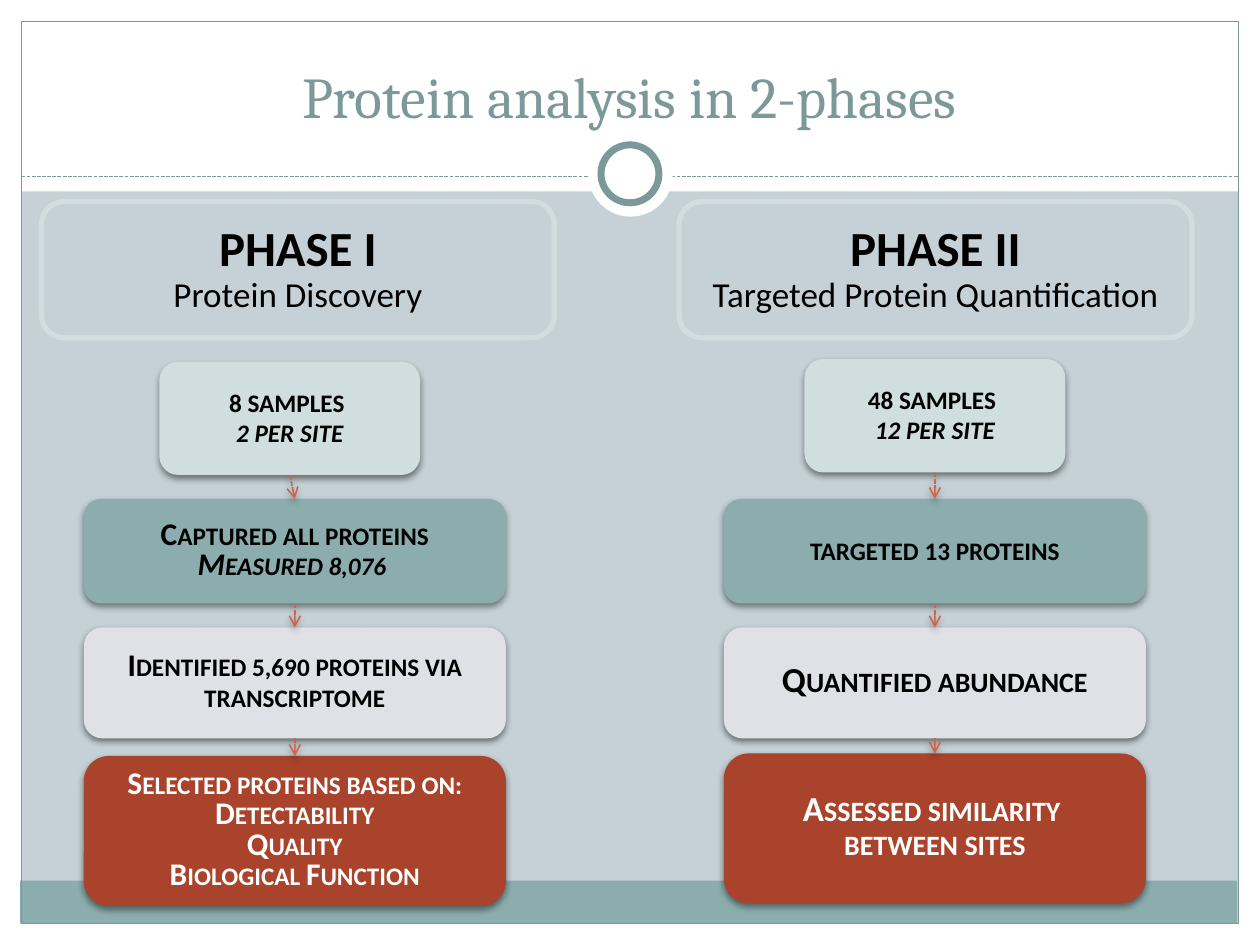
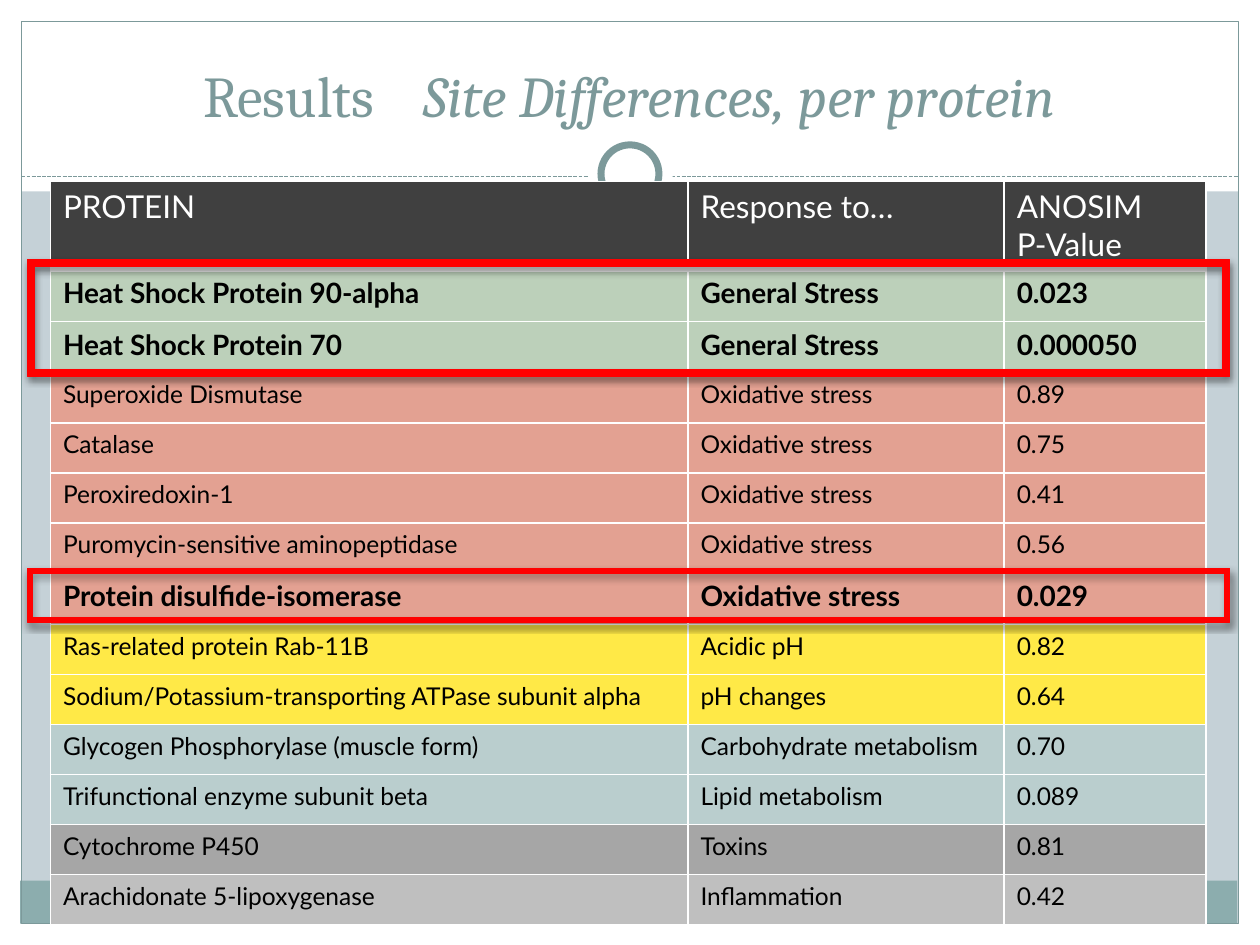
import dataclasses
import itertools

import lxml.etree
import pptx
import pptx.dml.color
import pptx.enum.dml
import pptx.enum.shapes
import pptx.enum.text
import pptx.oxml.ns
import pptx.util

Inches = pptx.util.Inches
Pt = pptx.util.Pt
Kind = pptx.enum.shapes.MSO_SHAPE
Anchor = pptx.enum.text.MSO_ANCHOR
Align = pptx.enum.text.PP_ALIGN
qn = pptx.oxml.ns.qn


@dataclasses.dataclass(frozen=True)
class Theme:
    title_font: str = "Cambria"
    flow_font: str = "Calibri"
    table_font: str = "Lato"
    title_size: int = 33
    phase_size: int = 28
    lead_size: int = 20
    step_size: int = 18
    strong_size: int = 16
    row_size: int = 14
    background: str = "C5D1D7"
    white: str = "FFFFFF"
    black: str = "000000"
    accent: str = "7C999A"
    teal: str = "8CADAE"
    mist: str = "D1DEDF"
    lilac: str = "DFE1E7"
    brick: str = "A9432B"
    arrow: str = "D16349"
    header: str = "404040"
    highlight: str = "FF0000"


THEME = Theme()

MARGIN_BANDS = [(0, 7.33, 10, 0.17), (0, 0, 10, 1.52), (0, 0, 0.17, 7.5), (9.83, 0, 0.17, 7.5)]
FOOTER_BAND = (0.16, 6.99, 9.66, 0.34)
PAGE_FRAME = (0.17, 0.17, 9.66, 7.16)
RULE_Y = 1.4
RING_HALO = (4.67, 1.05, 0.67, 0.67)
RING = (4.77, 1.15, 0.46, 0.46)

STAGES = [
    (2.07, 0.9, THEME.mist, THEME.black),
    (3.35, 0.83, THEME.teal, THEME.black),
    (3.35, 0.88, THEME.lilac, THEME.black),
    (3.35, 1.19, THEME.brick, THEME.white),
]
PHASE_BOX = (1.6, 4.07, 1.08)

PHASES = [
    {
        "name": "PHASE I",
        "goal": "Protein Discovery",
        "left": 0.33,
        "centers": [2.3, 2.34, 2.34, 2.34],
        "tops": [2.87, 3.96, 4.98, 6],
        "steps": [
            (THEME.step_size, [("8 samples ", False), ("2 per site", True)]),
            (THEME.step_size, [("Captured all proteins", False), ("Measured 8,076 ", True)]),
            (THEME.step_size, [("Identified 5,690 proteins via transcriptome", False)]),
            (THEME.step_size, [
                ("Selected proteins based on:", False),
                ("Detectability", False),
                ("Quality", False),
                ("Biological Function", False),
            ]),
        ],
    },
    {
        "name": "PHASE II",
        "goal": "Targeted Protein Quantification",
        "left": 5.39,
        "centers": [7.42] * 4,
        "tops": [2.85, 3.96, 4.98, 5.98],
        "steps": [
            (THEME.step_size, [("48 samples ", False), ("12 per site", True)]),
            (THEME.step_size, [("targeted 13 proteins", False)]),
            (THEME.lead_size, [("Quantified abundance", False)]),
            (THEME.lead_size, [("Assessed similarity ", False), ("between sites", False)]),
        ],
    },
]

TABLE_BOX = (0.4, 1.44, 9.17, 5.89)
COLUMN_WIDTHS = [5.06, 2.51, 1.6]
HEADER_HEIGHT = 0.69
STRONG_HEIGHT = 0.41
HEADINGS = [["PROTEIN"], ["Response to…"], ["ANOSIM", "P-Value"]]
GROUPS = [
    ("BCD0BA", [
        ("Heat Shock Protein 90-alpha", "General Stress", "0.023"),
        ("Heat Shock Protein 70", "General Stress", "0.000050"),
    ]),
    ("E3A192", [
        ("Superoxide Dismutase", "Oxidative stress", "0.89"),
        ("Catalase", "Oxidative stress", "0.75"),
        ("Peroxiredoxin-1", "Oxidative stress", "0.41"),
        ("Puromycin-sensitive aminopeptidase", "Oxidative stress", "0.56"),
        ("Protein disulfide-isomerase", "Oxidative stress", "0.029"),
    ]),
    ("FFE947", [
        ("Ras-related protein Rab-11B", "Acidic pH", "0.82"),
        ("Sodium/Potassium-transporting ATPase subunit alpha", "pH changes", "0.64"),
    ]),
    ("BACECE", [
        ("Glycogen Phosphorylase (muscle form)", "Carbohydrate metabolism", "0.70"),
        ("Trifunctional enzyme subunit beta", "Lipid metabolism", "0.089"),
    ]),
    ("A6A6A6", [("Cytochrome P450", "Toxins", "0.81")]),
    ("BFBFBF", [("Arachidonate 5-lipoxygenase", "Inflammation", "0.42")]),
]
SIGNIFICANCE = 0.05
HIGHLIGHTS = [((0.22, 2.06, 9.54, 0.93), 0.061), ((0.22, 4.51, 9.54, 0.43), 0.089)]


def rgb(value):
    return pptx.dml.color.RGBColor.from_string(value)


def add_shadow(properties, opacity):
    effects = properties.find(qn("a:effectLst"))
    if effects is None:
        effects = lxml.etree.SubElement(properties, qn("a:effectLst"))
    shadow = lxml.etree.SubElement(
        effects, qn("a:outerShdw"), blurRad=str(Pt(4)), dist=str(Pt(2)), dir="5400000", rotWithShape="0")
    color = lxml.etree.SubElement(shadow, qn("a:srgbClr"), val=THEME.black)
    lxml.etree.SubElement(color, qn("a:alpha"), val=str(opacity * 1000))


def add_box(slide, box, kind=Kind.RECTANGLE, fill=None, line=None, width=0.75, shadow=False):
    shape = slide.shapes.add_shape(kind, *map(Inches, box))
    shape.shadow.inherit = False
    if fill:
        shape.fill.solid()
        shape.fill.fore_color.rgb = rgb(fill)
    else:
        shape.fill.background()
    if line:
        shape.line.color.rgb = rgb(line)
        shape.line.width = Pt(width)
    else:
        shape.line.fill.background()
    if shadow:
        add_shadow(shape._element.spPr, 45)
    return shape


def add_dashed_line(slide, start, end, color, width):
    connector = slide.shapes.add_connector(
        pptx.enum.shapes.MSO_CONNECTOR.STRAIGHT, *map(Inches, (*start, *end)))
    connector.line.color.rgb = rgb(color)
    connector.line.width = Pt(width)
    connector.line.dash_style = pptx.enum.dml.MSO_LINE.SQUARE_DOT
    properties = connector._element.spPr
    lxml.etree.SubElement(properties, qn("a:effectLst"))
    return connector


def add_arrow(slide, start, end):
    connector = add_dashed_line(slide, start, end, THEME.arrow, 0.9)
    properties = connector._element.spPr
    lxml.etree.SubElement(properties.find(qn("a:ln")), qn("a:tailEnd"), type="arrow")
    add_shadow(properties, 35)


def add_run(paragraph, text, font, size, color, bold=False, italic=False):
    run = paragraph.add_run()
    run.text = text
    run.font.name = font
    run.font.size = Pt(size)
    run.font.color.rgb = rgb(color)
    run.font.bold = bold
    run.font.italic = italic
    return run


def add_paragraphs(frame, count, align=Align.CENTER, spacing=None):
    for index in range(count):
        paragraph = frame.add_paragraph() if index else frame.paragraphs[0]
        paragraph.alignment = align
        if spacing:
            paragraph.line_spacing = spacing
        yield paragraph


def add_base(presentation, title_top, title_height):
    slide = presentation.slides.add_slide(presentation.slide_layouts[6])
    slide.background.fill.solid()
    slide.background.fill.fore_color.rgb = rgb(THEME.background)
    for band in MARGIN_BANDS:
        add_box(slide, band, fill=THEME.white)
    add_box(slide, FOOTER_BAND, fill=THEME.teal)
    add_box(slide, PAGE_FRAME, line=THEME.accent)
    add_dashed_line(slide, (0.17, RULE_Y), (9.83, RULE_Y), THEME.accent, 0.75)
    add_box(slide, RING_HALO, Kind.OVAL, THEME.white)
    add_box(slide, RING, Kind.OVAL, THEME.white, THEME.accent, 4)
    frame = slide.shapes.add_textbox(*map(Inches, (0.33, title_top, 9.33, title_height))).text_frame
    frame.word_wrap = True
    frame.vertical_anchor = Anchor.BOTTOM
    frame.paragraphs[0].alignment = Align.CENTER
    return slide, frame.paragraphs[0]


def add_title_run(paragraph, text, italic=False):
    return add_run(paragraph, text, THEME.title_font, THEME.title_size, THEME.accent, italic=italic)


def add_phase(slide, phase):
    top, width, height = PHASE_BOX
    header = add_box(slide, (phase["left"], top, width, height),
                     Kind.FLOWCHART_ALTERNATE_PROCESS, line=THEME.mist, width=3)
    header.text_frame.vertical_anchor = Anchor.MIDDLE
    name, goal = add_paragraphs(header.text_frame, 2, spacing=0.9)
    add_run(name, phase["name"], THEME.flow_font, THEME.phase_size, THEME.black, bold=True)
    add_run(goal, phase["goal"], THEME.flow_font, THEME.lead_size, THEME.black)

    ports = []
    for stage, center, top, (size, lines) in zip(STAGES, phase["centers"], phase["tops"], phase["steps"]):
        width, height, fill, color = stage
        shape = add_box(slide, (center - width / 2, top, width, height),
                        Kind.FLOWCHART_ALTERNATE_PROCESS, fill, shadow=True)
        frame = shape.text_frame
        frame.word_wrap = True
        frame.vertical_anchor = Anchor.MIDDLE
        for paragraph, (text, italic) in zip(add_paragraphs(frame, len(lines), spacing=0.8), lines):
            run = add_run(paragraph, text, THEME.flow_font, size, color, True, italic)
            run._r.get_or_add_rPr().set("cap", "small")
        ports.append(((center, top), (center, top + height)))
    for (_, start), (end, _) in itertools.pairwise(ports):
        add_arrow(slide, start, end)


def fill_cell(cell, lines, fill, size, color, bold=False, bottom=1):
    properties = cell._tc.get_or_add_tcPr()
    for side, width in (("lnL", 1), ("lnR", 1), ("lnT", 1), ("lnB", bottom)):
        border = lxml.etree.SubElement(properties, qn("a:" + side), w=str(Pt(width)))
        solid = lxml.etree.SubElement(border, qn("a:solidFill"))
        lxml.etree.SubElement(solid, qn("a:srgbClr"), val=THEME.white)
    cell.fill.solid()
    cell.fill.fore_color.rgb = rgb(fill)
    for paragraph, text in zip(add_paragraphs(cell.text_frame, len(lines), Align.LEFT), lines):
        add_run(paragraph, text, THEME.table_font, size, color, bold)


def add_results_table(slide):
    rows = [(fill, values) for fill, group in GROUPS for values in group]
    strong = [float(values[-1]) < SIGNIFICANCE for _, values in rows]
    plain_height = (TABLE_BOX[3] - HEADER_HEIGHT - STRONG_HEIGHT * sum(strong)) / strong.count(False)
    heights = [HEADER_HEIGHT] + [STRONG_HEIGHT if bold else plain_height for bold in strong]
    table = slide.shapes.add_table(len(heights), len(COLUMN_WIDTHS), *map(Inches, TABLE_BOX)).table
    table.first_row = False
    table.horz_banding = False
    for column, width in zip(table.columns, COLUMN_WIDTHS):
        column.width = Inches(width)
    for row, height in zip(table.rows, heights):
        row.height = Inches(height)
    for column, lines in enumerate(HEADINGS):
        fill_cell(table.cell(0, column), lines, THEME.header, THEME.step_size, THEME.white, bottom=3)
    for index, ((fill, values), bold) in enumerate(zip(rows, strong), 1):
        size = THEME.strong_size if bold else THEME.row_size
        for column, text in enumerate(values):
            fill_cell(table.cell(index, column), [text], fill, size, THEME.black, bold)


def build_phases(presentation):
    slide, title = add_base(presentation, 0.25, 0.83)
    add_title_run(title, "Protein analysis in 2-phases")
    for phase in PHASES:
        add_phase(slide, phase)


def build_results(presentation):
    slide, title = add_base(presentation, 0.39, 0.68)
    add_title_run(title, "Results")
    gap = add_title_run(title, " ")
    gap._r.get_or_add_rPr().set("spc", "2100")
    add_title_run(title, "Site Differences, per protein", italic=True)
    add_results_table(slide)
    for box, thickness in HIGHLIGHTS:
        frame = add_box(slide, box, Kind.FRAME, THEME.highlight, THEME.highlight, shadow=True)
        frame.adjustments[0] = thickness


def main():
    presentation = pptx.Presentation()
    presentation.slide_width = Inches(10)
    presentation.slide_height = Inches(7.5)
    build_phases(presentation)
    build_results(presentation)
    presentation.save("out.pptx")


if __name__ == "__main__":
    main()
